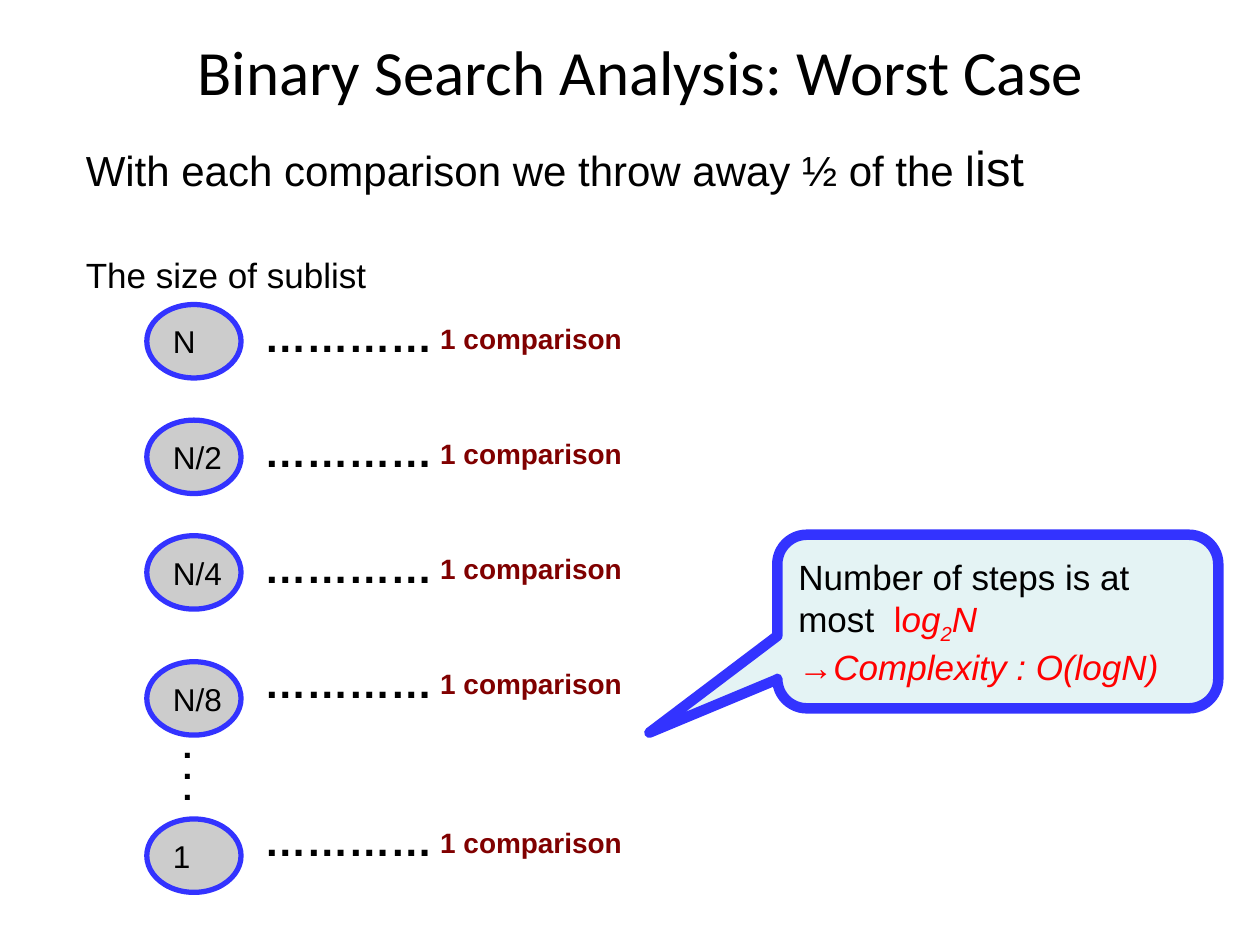
from pptx import Presentation
from pptx.dml.color import RGBColor
from pptx.enum.shapes import MSO_SHAPE as Kind
from pptx.enum.text import MSO_ANCHOR as Anchor, PP_ALIGN as Align
from pptx.util import Cm, Pt

BLACK, RED, MAROON = "000000", "FF0000", "800000"
BLUE, GREY, PALE = "3333FF", "CCCCCC", "E4F3F4"

# Each paragraph is a list of runs: (text, style)
TITLE = [[("Binary Search Analysis: Worst Case", {"size": 36, "font": "Calibri"})]]
INTRO = [
    [("With each comparison we throw away ½ of the l", {"size": 24}),
     ("ist", {"size": 28})],
    [("The size of sublist", {"size": 20})],
]
GAPS = [5, 33]  # points before each intro paragraph
# Size of sublist, top of its oval, top of its label (cm)
STEPS = [
    ("N", 6.14, 6.35),
    ("N/2", 8.47, 8.67),
    ("N/4", 10.8, 11),
    ("N/8", 13.34, 13.32),
    ("1", 16.51, 16.51),
]
DOTS = [("…………", {"size": 24, "bold": True})]
COUNT = [(" 1 comparison", {"size": 16, "bold": True, "color": MAROON})]
MORE = [[(".", {"size": 20, "bold": True})]] * 3
HOT = {"size": 20, "color": RED, "italic": True}
RESULT = [
    [("Number of steps is at", {"size": 20})],
    [("most  ", {"size": 20}), ("l", {"size": 20, "color": RED}),
     ("og", HOT), ("2", {**HOT, "sub": True}), ("N", HOT)],
    [("→Complexity : O(logN)", HOT)],
]


def paint(color):
    return RGBColor.from_string(color)


def write(shape, paras, wrap=False, anchor=Anchor.TOP, align=Align.LEFT):
    frame = shape.text_frame
    frame.word_wrap = wrap
    frame.vertical_anchor = anchor
    for i, runs in enumerate(paras):
        para = frame.paragraphs[0] if i == 0 else frame.add_paragraph()
        para.alignment = align
        for text, style in runs:
            run = para.add_run()
            run.text = text
            font = run.font
            font.name = style.get("font", "Arial")
            font.size = Pt(style["size"])
            font.bold = style.get("bold", False)
            font.italic = style.get("italic", False)
            font.color.rgb = paint(style.get("color", BLACK))
            if style.get("sub"):
                font._element.set("baseline", "-25000")
    return frame


def label(slide, box, paras, **opts):
    return write(slide.shapes.add_textbox(*map(Cm, box)), paras, **opts)


def figure(slide, kind, box, fill, width, paras):
    """Add an outlined shape with left-aligned text."""
    shape = slide.shapes.add_shape(kind, *map(Cm, box))
    shape.shadow.inherit = False
    shape.fill.solid()
    shape.fill.fore_color.rgb = paint(fill)
    shape.line.color.rgb = paint(BLUE)
    shape.line.width = Pt(width)
    write(shape, paras, anchor=Anchor.MIDDLE)
    return shape


def main():
    deck = Presentation()
    deck.slide_width, deck.slide_height = Cm(25.4), Cm(19.05)
    slide = deck.slides.add_slide(deck.slide_layouts[6])

    label(slide, (2.12, 0.64, 21.59, 1.55), TITLE, wrap=True,
          anchor=Anchor.MIDDLE, align=Align.CENTER)
    intro = label(slide, (1.48, 2.64, 23.06, 1.7), INTRO, wrap=True)
    for para, gap in zip(intro.paragraphs, GAPS):
        para.space_before = Pt(gap)

    for size, top, side in STEPS:
        figure(slide, Kind.OVAL, (2.96, top, 1.9, 1.48), GREY, 3,
               [[(size, {"size": 18})]])
        label(slide, (5.08, side - 0.21, 3.94, 1.28), [DOTS])
        label(slide, (8.47, side, 4.37, 0.94), [COUNT])

    more = label(slide, (3.43, 14.82, 1.06, 1.6), MORE, wrap=True)
    for para in more.paragraphs:
        para.line_spacing = 0.5

    note = figure(slide, Kind.ROUNDED_RECTANGULAR_CALLOUT,
                  (15.67, 10.78, 8.89, 3.5), PALE, 6, RESULT)
    for i, value in enumerate((-0.79, 0.64, 0.17)):
        note.adjustments[i] = value

    deck.save("out.pptx")


if __name__ == "__main__":
    main()
